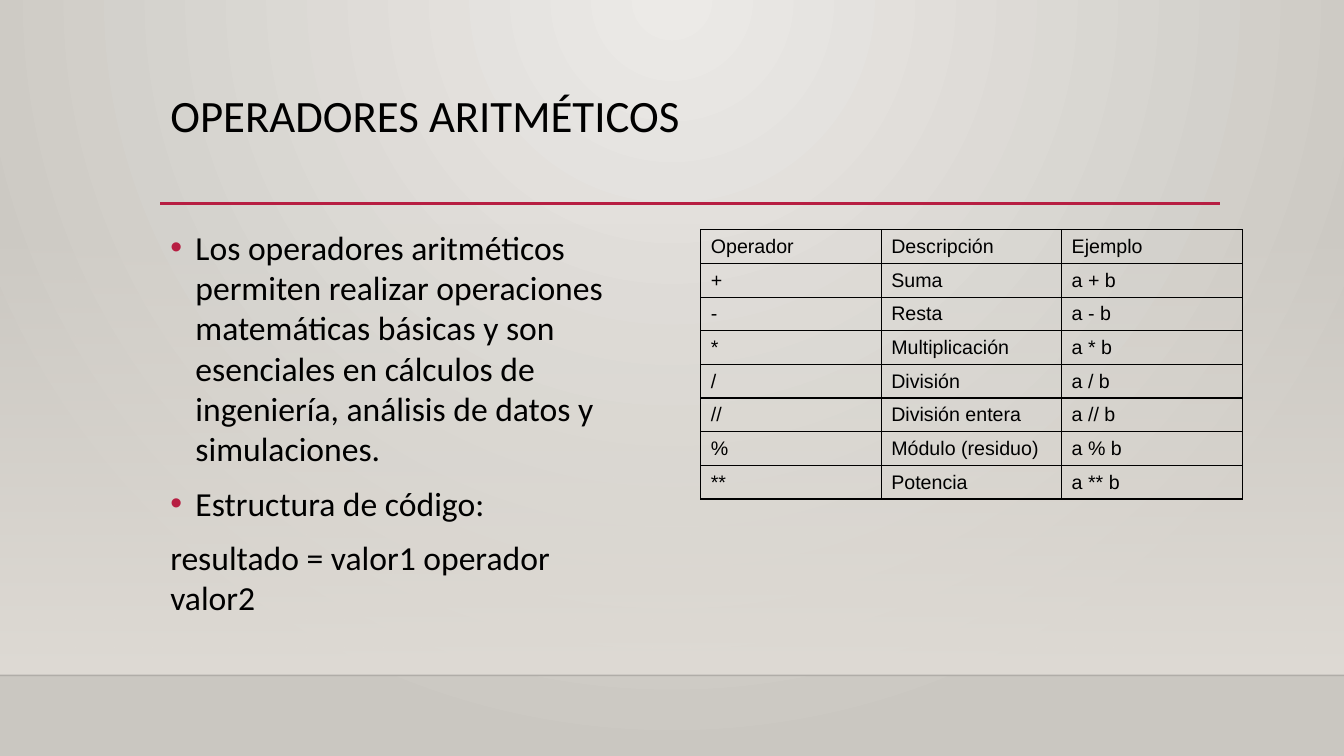
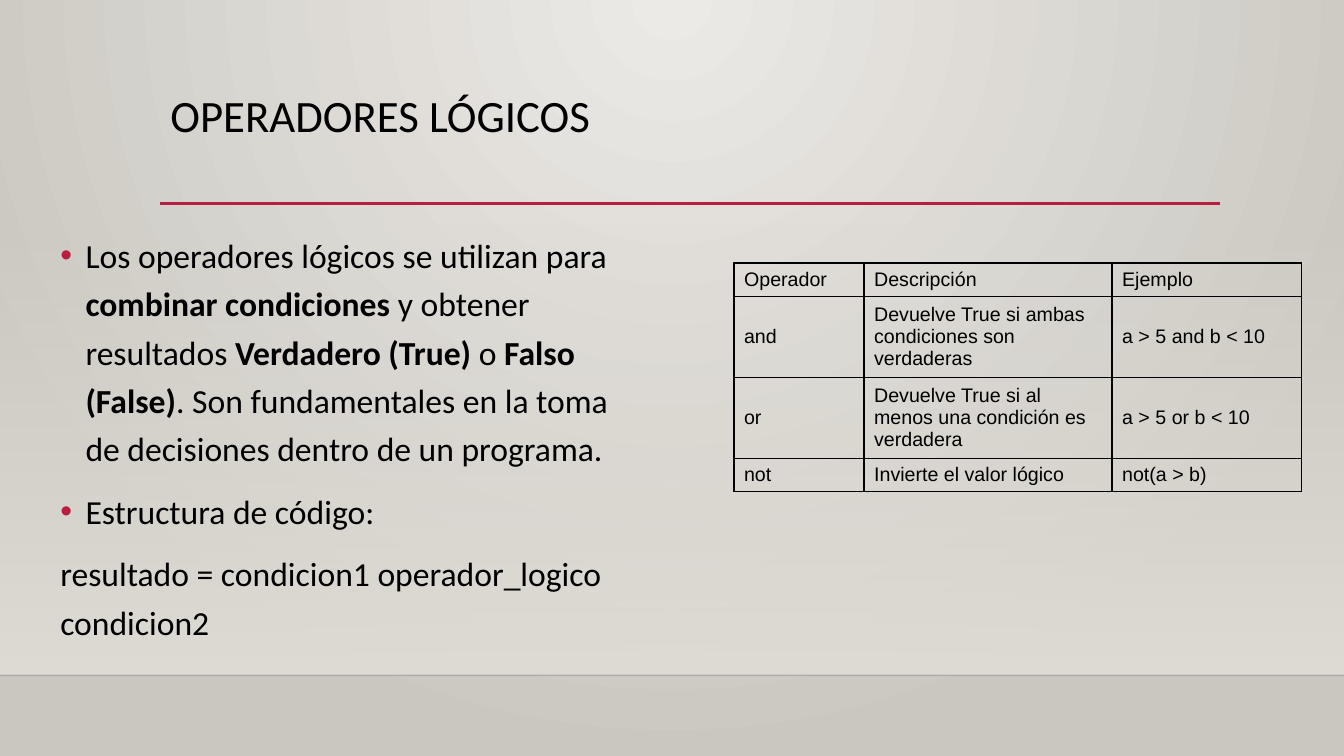
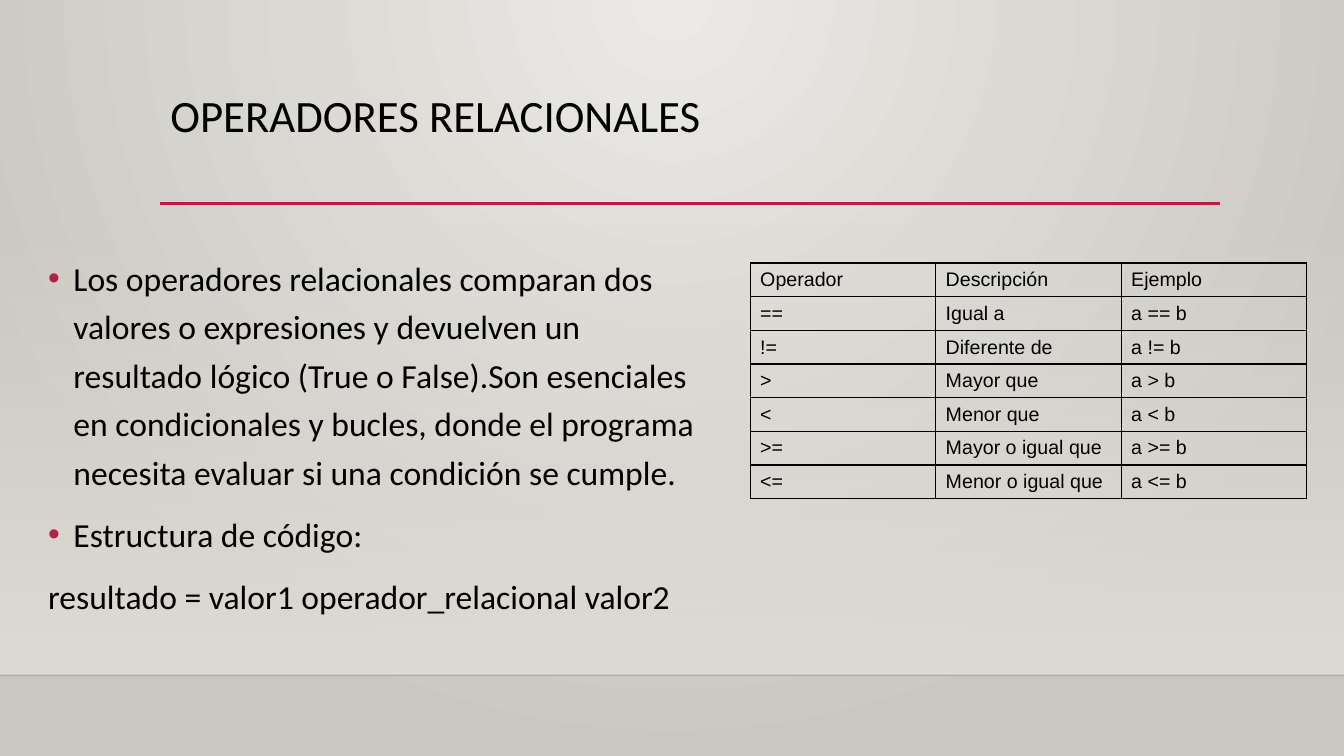
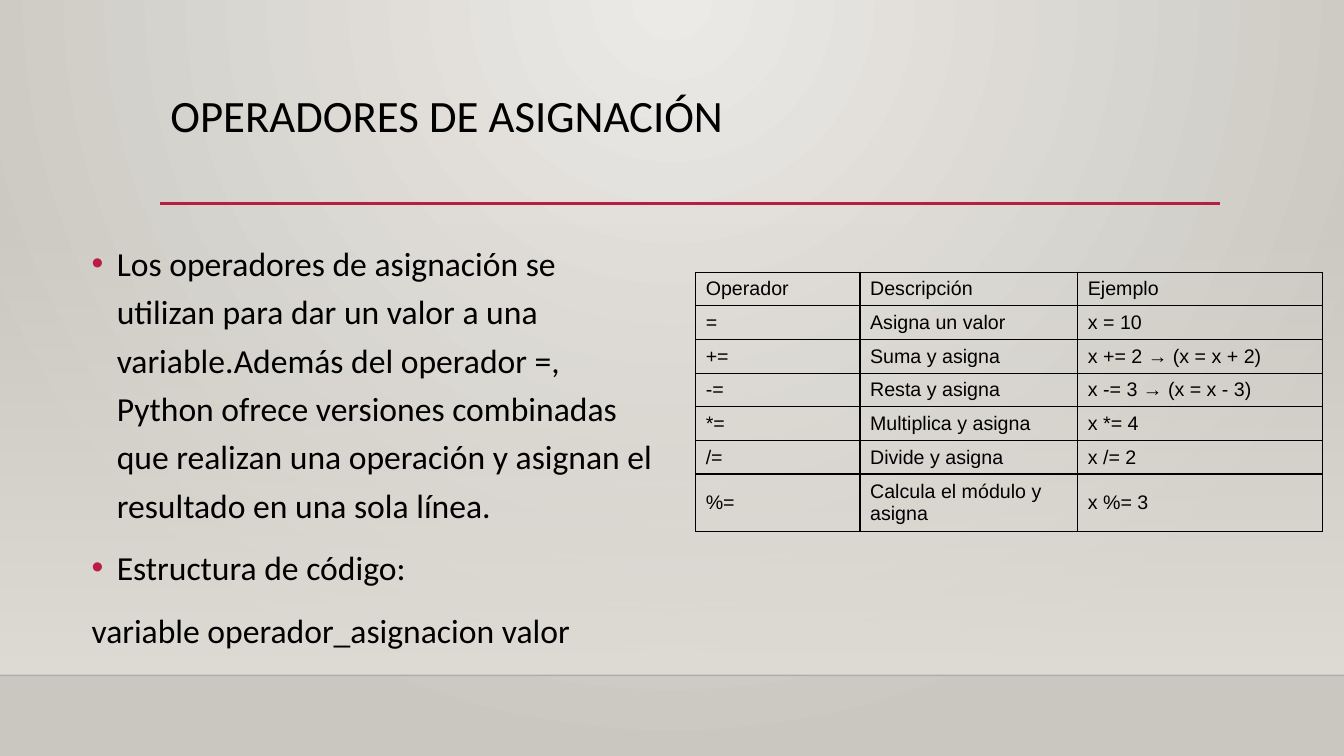
from lxml.etree import SubElement
from pptx import Presentation
from pptx.dml.color import RGBColor
from pptx.enum.shapes import MSO_CONNECTOR as CONN, MSO_SHAPE as SHAPE
from pptx.enum.text import MSO_ANCHOR as ANCHOR, PP_ALIGN as ALIGN
from pptx.oxml.ns import qn
from pptx.util import Emu, Pt

# Scale: 100 px to the inch
PX = 9144
WIDTH, HEIGHT = 1333, 750

# Colours and fonts
BLACK = RGBColor(0x00, 0x00, 0x00)
CRIMSON = RGBColor(0xB7, 0x1E, 0x42)
LIGHT = RGBColor(0xEC, 0xEA, 0xE7)
DARK = RGBColor(0xCA, 0xC7, 0xC1)
SAND = RGBColor(0xDF, 0xDB, 0xD5)
HEAD_FONT, TABLE_FONT = "Calibri", "Arial"

HEADER = ("Operador", "Descripción", "Ejemplo")
STRUCTURE = "Estructura de código:"


def px(n):
    return Emu(n * PX)


def add(parent, tag, **attrs):
    return SubElement(parent, qn(tag), attrs)


def set_alpha(parent, percent):
    """Give the first RGB colour under parent an opacity."""
    add(parent.find(".//" + qn("a:srgbClr")), "a:alpha", val=str(percent * 1000))


class Deck:
    def __init__(self):
        self.prs = Presentation()
        self.prs.slide_width, self.prs.slide_height = px(WIDTH), px(HEIGHT)
        self.layout = self.prs.slide_layouts[5]
        self.s = None
        self.background()

    def background(self):
        """Radial gradient shared by all slides."""
        self.gradient(self.layout.background.fill, LIGHT, DARK)
        grad = self.layout.element.find(".//" + qn("a:gradFill"))
        grad.remove(grad.find(qn("a:lin")))
        circle = add(grad, "a:path", path="circle")
        add(circle, "a:fillToRect", l="43000", t="0", r="43000", b="100000")

    def gradient(self, fill, *colors):
        fill.gradient()
        for stop, color in zip(fill.gradient_stops, colors):
            stop.color.rgb = color

    def slide(self, title):
        self.s = self.prs.slides.add_slide(self.layout)
        self.band(221, 449)
        self.rule(0, WIDTH, 670, BLACK, 1, alpha=20)
        self.rule(159, 1210, 202, CRIMSON, 2.5)
        self.title(title)

    def band(self, y, h):
        sp = self.s.shapes.add_shape(SHAPE.RECTANGLE, 0, px(y), px(WIDTH), px(h))
        sp.shadow.inherit = False
        sp.line.fill.background()
        self.gradient(sp.fill, SAND, SAND)
        sp.fill.gradient_angle = 270
        set_alpha(sp.element.spPr, 0)

    def rule(self, x1, x2, y, color, width, alpha=100):
        line = self.s.shapes.add_connector(CONN.STRAIGHT, px(x1), px(y), px(x2), px(y))
        line.line.color.rgb = color
        line.line.width = Pt(width)
        spPr = line.element.spPr
        add(spPr, "a:effectLst")
        if alpha < 100:
            set_alpha(spPr, alpha)

    def title(self, text):
        sp = self.s.shapes.title
        sp.left, sp.top, sp.width, sp.height = px(159), px(88), px(1050), px(115)
        tf = sp.text_frame
        tf.text = text
        tf.word_wrap = True
        tf.vertical_anchor = ANCHOR.TOP
        p = tf.paragraphs[0]
        p.alignment = ALIGN.LEFT
        p.line_spacing = 0.9
        self.font(p.runs[0].font, HEAD_FONT, 32)

    def font(self, font, name, size):
        font.name, font.size, font.color.rgb = name, Pt(size), BLACK

    def bullet(self, p):
        pPr = p._p.get_or_add_pPr()
        pPr.set("marL", str(px(25)))
        pPr.set("indent", str(-px(25)))
        add(add(pPr, "a:buClr"), "a:srgbClr", val=str(CRIMSON))
        add(pPr, "a:buFont", typeface="Arial")
        add(pPr, "a:buChar", char="•")

    def body(self, box, intro, code, spacing):
        """Two bullets and a code line; **marks** set bold words."""
        tf = self.s.shapes.add_textbox(*map(px, box)).text_frame
        tf.word_wrap = True
        for i, text in enumerate((intro, STRUCTURE, code)):
            p = tf.add_paragraph() if i else tf.paragraphs[0]
            if text != code:
                self.bullet(p)
            if i:
                p.space_before = Pt(10)
            p.line_spacing = spacing
            for j, part in enumerate(text.split("**")):
                r = p.add_run()
                r.text = part
                r.font.bold = j % 2 == 1
                self.font(r.font, HEAD_FONT, 24)

    def table(self, x, y, cols, rows):
        rows = [HEADER, *rows]
        row_h = 32
        tbl = self.s.shapes.add_table(len(rows), len(cols), px(x), px(y),
                                      px(sum(cols)), px(row_h * len(rows))).table
        tbl.first_row = tbl.horz_banding = False
        for col, w in zip(tbl.columns, cols):
            col.width = px(w)
        for cell, text in zip(tbl.iter_cells(), sum(rows, ())):
            cell.text = text
            cell.vertical_anchor = ANCHOR.MIDDLE
            self.font(cell.text_frame.paragraphs[0].runs[0].font, TABLE_FONT, 14)
            self.borders(cell)
            cell.fill.background()

    def borders(self, cell):
        tcPr = cell._tc.get_or_add_tcPr()
        for side in "LRTB":
            ln = add(tcPr, "a:ln" + side, w=str(Pt(1)))
            add(add(ln, "a:solidFill"), "a:srgbClr", val=str(BLACK))


def main():
    deck = Deck()

    # Arithmetic operators
    deck.slide("OPERADORES ARITMÉTICOS")
    deck.body((159, 220, 479, 419),
              "Los operadores aritméticos permiten realizar operaciones matemáticas "
              "básicas y son esenciales en cálculos de ingeniería, análisis de datos "
              "y simulaciones.",
              "resultado = valor1 operador valor2", 1.0)
    names = {"+": "Suma", "-": "Resta", "*": "Multiplicación", "/": "División",
             "//": "División entera", "%": "Módulo (residuo)", "**": "Potencia"}
    deck.table(695, 228, [179] * 3,
               [(op, name, f"a {op} b") for op, name in names.items()])

    # Logical operators
    deck.slide("OPERADORES LÓGICOS")
    deck.body((50, 220, 590, 442),
              "Los operadores lógicos se utilizan para **combinar condiciones** y "
              "obtener resultados **Verdadero (True)** o **Falso (False)**. Son "
              "fundamentales en la toma de decisiones dentro de un programa.",
              "resultado = condicion1 operador_logico condicion2", 1.2)
    deck.table(728, 261, [129, 246, 188], [
        ("and", "Devuelve True si ambas condiciones son verdaderas", "a > 5 and b < 10"),
        ("or", "Devuelve True si al menos una condición es verdadera", "a > 5 or b < 10"),
        ("not", "Invierte el valor lógico", "not(a > b)"),
    ])

    # Relational operators
    deck.slide("OPERADORES RELACIONALES")
    deck.body((38, 243, 672, 377),
              "Los operadores relacionales comparan dos valores o expresiones y "
              "devuelven un resultado lógico (True o False).Son esenciales en "
              "condicionales y bucles, donde el programa necesita evaluar si una "
              "condición se cumple.",
              "resultado = valor1 operador_relacional valor2", 1.2)
    names = {"==": "Igual a", "!=": "Diferente de", ">": "Mayor que", "<": "Menor que",
             ">=": "Mayor o igual que", "<=": "Menor o igual que"}
    deck.table(744, 261, [184] * 3,
               [(op, name, f"a {op} b") for op, name in names.items()])

    # Assignment operators
    deck.slide("OPERADORES DE ASIGNACIÓN")
    deck.body((81, 228, 585, 419),
              "Los operadores de asignación se utilizan para dar un valor a una "
              "variable.Además del operador =, Python ofrece versiones combinadas que "
              "realizan una operación y asignan el resultado en una sola línea.",
              "variable operador_asignacion valor", 1.2)
    deck.table(690, 270, [163, 216, 243], [
        ("=", "Asigna un valor", "x = 10"),
        ("+=", "Suma y asigna", "x += 2 → (x = x + 2)"),
        ("-=", "Resta y asigna", "x -= 3 → (x = x - 3)"),
        ("*=", "Multiplica y asigna", "x *= 4"),
        ("/=", "Divide y asigna", "x /= 2"),
        ("%=", "Calcula el módulo y asigna", "x %= 3"),
    ])

    deck.prs.save("out.pptx")


if __name__ == "__main__":
    main()
